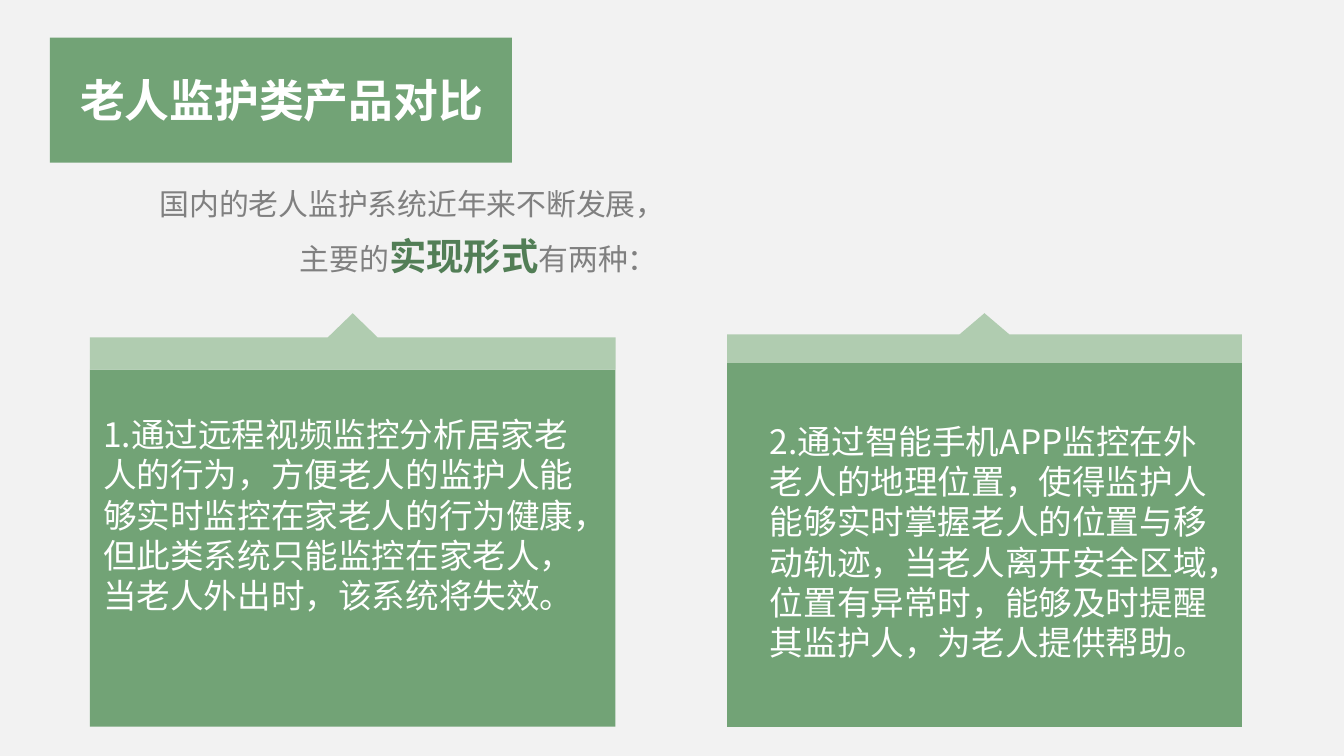
import dataclasses
import typing

import pptx
import pptx.dml.color
import pptx.enum.shapes
import pptx.enum.text
import pptx.oxml.ns
import pptx.util
from lxml import etree

Pt = pptx.util.Pt
Align = pptx.enum.text.PP_ALIGN
GREEN, PALE, DARK = "72A376", "B0CCB0", "527E56"
GRAY, WHITE, BACK = "808080", "FFFFFF", "F2F2F2"
SANS = "Noto Sans CJK SC"


@dataclasses.dataclass
class Run:
    """A piece of text with its own look."""
    text: str
    size: float
    color: str
    bold: bool = False


@dataclasses.dataclass
class Card:
    """A panel with a peaked tab; lengths in points."""
    left: float
    width: float
    edge: float
    top: float
    base: float
    box: tuple
    text: str


def paint(fill: typing.Any, color: str) -> None:
    """Set a solid colour from a hex string."""
    fill.solid()
    fill.fore_color.rgb = pptx.dml.color.RGBColor.from_string(color)


def finish(shape: typing.Any, color: str) -> None:
    """Give a shape a flat fill without line or shadow."""
    paint(shape.fill, color)
    shape.line.fill.background()
    shape.shadow.inherit = False


def block(shapes: typing.Any, box: tuple, color: str) -> None:
    """Draw a plain rectangle."""
    kind = pptx.enum.shapes.MSO_SHAPE.RECTANGLE
    finish(shapes.add_shape(kind, *map(Pt, box)), color)


def write(shapes: typing.Any, box: tuple, lines: list, *, font: str = SANS,
          align: typing.Any = Align.LEFT, space: float = 1.0,
          wrap: bool = True, indents: tuple = ()) -> None:
    """Add a text box; each line is a list of runs."""
    frame = shapes.add_textbox(*map(Pt, box)).text_frame
    frame.word_wrap = wrap
    for i, line in enumerate(lines):
        para = frame.add_paragraph() if i else frame.paragraphs[0]
        para.alignment, para.line_spacing = align, space
        if i < len(indents):
            para._p.get_or_add_pPr().set("marL", str(Pt(indents[i])))
        for part in line:
            run = para.add_run()
            run.text = part.text
            run.font.size, run.font.bold = Pt(part.size), part.bold
            run.font.name = font
            paint(run.font.fill, part.color)
            east = etree.SubElement(run._r.rPr, pptx.oxml.ns.qn("a:ea"))
            east.set("typeface", SANS)


def draw(shapes: typing.Any, card: Card) -> None:
    """Draw a card: body, peaked tab and text."""
    group = shapes.add_group_shape().shapes
    block(group, (card.left, card.base, card.width, FOOT - card.base), GREEN)
    right, mid = card.left + card.width, card.left + card.width / 2
    points = [(right, card.edge), (right, card.base), (card.left, card.base),
              (card.left, card.edge), (mid - PEAK, card.edge),
              (mid, card.top), (mid + PEAK, card.edge)]
    spots = [(Pt(x), Pt(y)) for x, y in points]
    pen = group.build_freeform(*spots[0])
    pen.add_line_segments(spots[1:], close=True)
    finish(pen.convert_to_shape(), PALE)
    write(shapes, card.box, [[Run(card.text, 18, WHITE)]])


FOOT, PEAK = 389.4, 13.4
CARDS = [
    Card(48.2, 281.6, 180.8, 167.8, 198, (48.2, 218.2, 269.3, 138.2),
         "1.通过远程视频监控分析居家老人的行为，方便老人的监护人能够实时监控"
         "在家老人的行为健康，但此类系统只能监控在家老人，当老人外出时，"
         "该系统将失效。"),
    Card(389.5, 275.8, 179.2, 167.8, 194.4, (405.4, 221.8, 260.6, 159.8),
         "2.通过智能手机APP监控在外老人的地理位置，使得监护人能够实时掌握"
         "老人的位置与移动轨迹，当老人离开安全区域，位置有异常时，"
         "能够及时提醒其监护人，为老人提供帮助。"),
]

deck = pptx.Presentation()
deck.slide_width, deck.slide_height = Pt(720), Pt(405)
slide = deck.slides.add_slide(deck.slide_layouts[6])
paint(slide.background.fill, BACK)

write(slide.shapes, (78.5, 91.4, 487.4, 61.9),
      [[Run("国内的老人监护系统近年来不断发展，", 16, GRAY)],
       [Run("主要的", 16, GRAY), Run("实现形式", 20, DARK, True),
        Run("有两种：", 16, GRAY)]],
      space=1.25, indents=(0, 75))
block(slide.shapes, (26.7, 20.2, 247.6, 67), GREEN)
write(slide.shapes, (35.3, 35.3, 231.1, 36),
      [[Run("老人监护类产品对比", 24, WHITE, True)]],
      font="Arial", align=Align.CENTER, wrap=False)
for card in CARDS:
    draw(slide.shapes, card)

deck.save("out.pptx")
